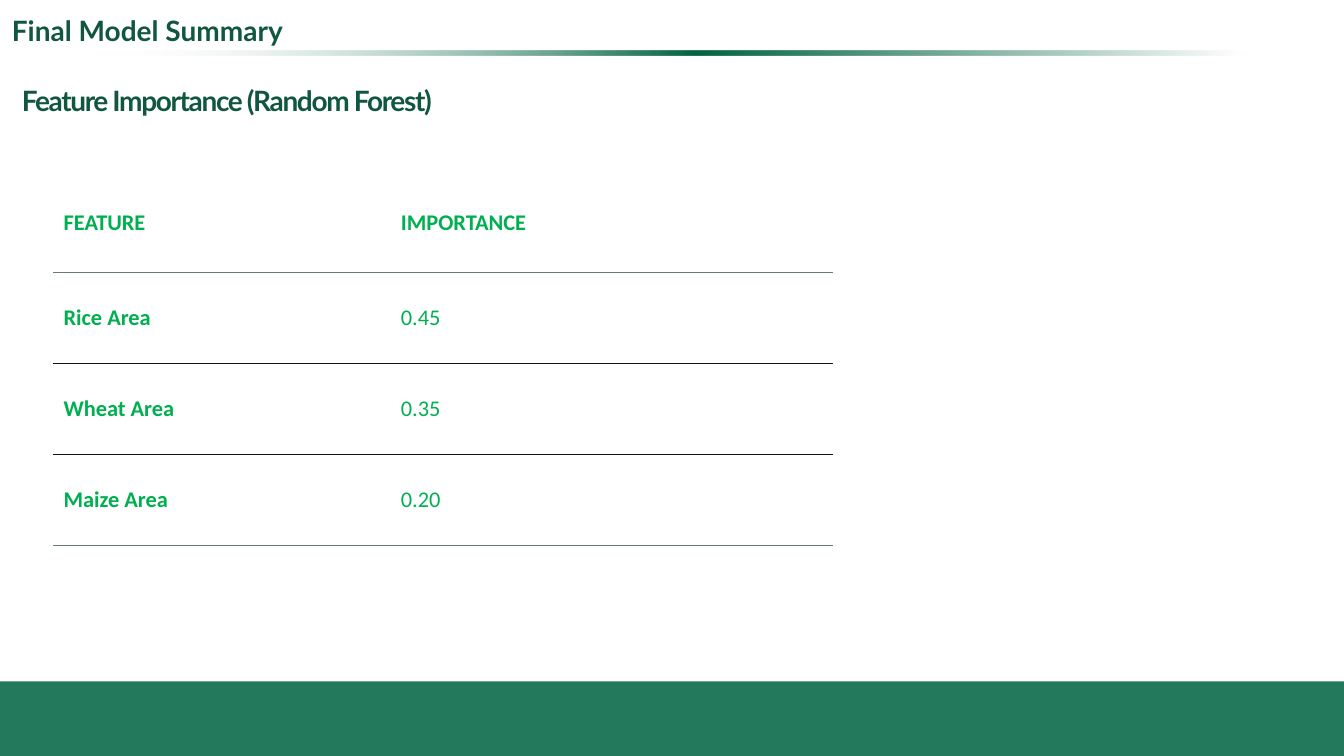
from lxml.etree import SubElement
from pptx import Presentation
from pptx.dml.color import RGBColor
from pptx.enum.shapes import MSO_SHAPE
from pptx.enum.text import MSO_ANCHOR
from pptx.oxml.ns import qn
from pptx.util import Cm, Pt

COLORS = {
    "white": "FFFFFF",
    "band": "23795C",
    "rule": "006341",
    "heading": "115740",
    "table_text": "00B050",
    "table_edge": "647E6B",
    "row_line": "131313",
}
FEATURES = [
    ("FEATURE", "IMPORTANCE"),
    ("Rice Area", "0.45"),
    ("Wheat Area", "0.35"),
    ("Maize Area", "0.20"),
]
OUTER_LINE = ("white", 1)
EDGE_LINE = ("table_edge", 0.57)
ROW_LINE = ("row_line", 0.5)


def rgb(name):
    return RGBColor.from_string(COLORS[name])


def set_font(p, size, name, color, bold):
    p.font.size = Pt(size)
    p.font.name = name
    p.font.bold = bold
    p.font.color.rgb = rgb(color)


def add_bar(slide, left, top, width, height):
    sp = slide.shapes.add_shape(
        MSO_SHAPE.RECTANGLE, Cm(left), Cm(top), Cm(width), Cm(height))
    sp.shadow.inherit = False
    sp.line.fill.background()
    return sp


def add_footer_band(slide, left, top, width, height):
    sp = add_bar(slide, left, top, width, height)
    sp.fill.solid()
    sp.fill.fore_color.rgb = rgb("band")


def add_fading_rule(slide, left, top, width, height):
    """Draw a thin bar that is green in the middle and fades out at both ends."""
    sp = add_bar(slide, left, top, width, height)
    sp.fill.gradient()
    sp.fill.gradient_angle = 0
    stops = next(sp._element.iter(qn("a:gsLst")))
    for stop in list(stops):
        stops.remove(stop)
    for pos, color, alpha in ((0, "white", 0), (52, "rule", 100), (99, "white", 100)):
        stop = SubElement(stops, qn("a:gs"), pos=str(pos * 1000))
        clr = SubElement(stop, qn("a:srgbClr"), val=COLORS[color])
        if alpha < 100:
            SubElement(clr, qn("a:alpha"), val=str(alpha * 1000))


def add_heading(slide, left, top, width, height, text, line_spacing,
                inset=0.25, tracking=0):
    box = slide.shapes.add_textbox(Cm(left), Cm(top), Cm(width), Cm(height))
    tf = box.text_frame
    tf.word_wrap = True
    tf.margin_left = Cm(inset)
    p = tf.paragraphs[0]
    p.line_spacing = line_spacing
    r = p.add_run()
    r.text = text
    set_font(p, 20, "Lato", "heading", True)
    if tracking:
        r.font._element.set("spc", str(tracking * 100))


def set_borders(cell, top, bottom):
    tc_pr = cell._tc.get_or_add_tcPr()
    sides = {"L": OUTER_LINE, "R": OUTER_LINE, "T": top, "B": bottom}
    for side, (color, width) in sides.items():
        ln = SubElement(tc_pr, qn(f"a:ln{side}"), w=str(Pt(width)))
        fill = SubElement(ln, qn("a:solidFill"))
        SubElement(fill, qn("a:srgbClr"), val=COLORS[color])


def add_feature_table(slide, left, top, col_widths, header_height, row_height):
    heights = [header_height] + [row_height] * (len(FEATURES) - 1)
    table = slide.shapes.add_table(
        len(FEATURES), len(col_widths), Cm(left), Cm(top),
        Cm(sum(col_widths)), Cm(sum(heights))).table
    table.first_row = table.horz_banding = False
    for column, width in zip(table.columns, col_widths):
        column.width = Cm(width)
    lines = [OUTER_LINE, EDGE_LINE] + [ROW_LINE] * (len(FEATURES) - 2) + [EDGE_LINE]
    for i, values in enumerate(FEATURES):
        table.rows[i].height = Cm(heights[i])
        for j, value in enumerate(values):
            cell = table.cell(i, j)
            cell.text = value
            cell.vertical_anchor = MSO_ANCHOR.MIDDLE
            set_borders(cell, lines[i], lines[i + 1])
            cell.fill.background()
            set_font(cell.text_frame.paragraphs[0], 16, "Calibri",
                     "table_text", i == 0 or j == 0)


def main():
    prs = Presentation()
    prs.slide_width, prs.slide_height = Cm(33.87), Cm(19.05)
    slide = prs.slides.add_slide(prs.slide_layouts[6])
    add_footer_band(slide, 0, 17.17, 33.87, 1.88)
    add_fading_rule(slide, 2.39, 1.27, 29.11, 0.13)
    add_heading(slide, 0.3, 0.3, 31.67, 1.45, "Final Model Summary", 0.9, inset=0)
    add_heading(slide, 0.3, 2.11, 30.1, 1.07,
                "Feature Importance (Random Forest)", 0.85, tracking=-1)
    add_feature_table(slide, 1.35, 4.37, (8.5, 11.12), 2.5, 2.29)
    prs.save("out.pptx")


if __name__ == "__main__":
    main()
